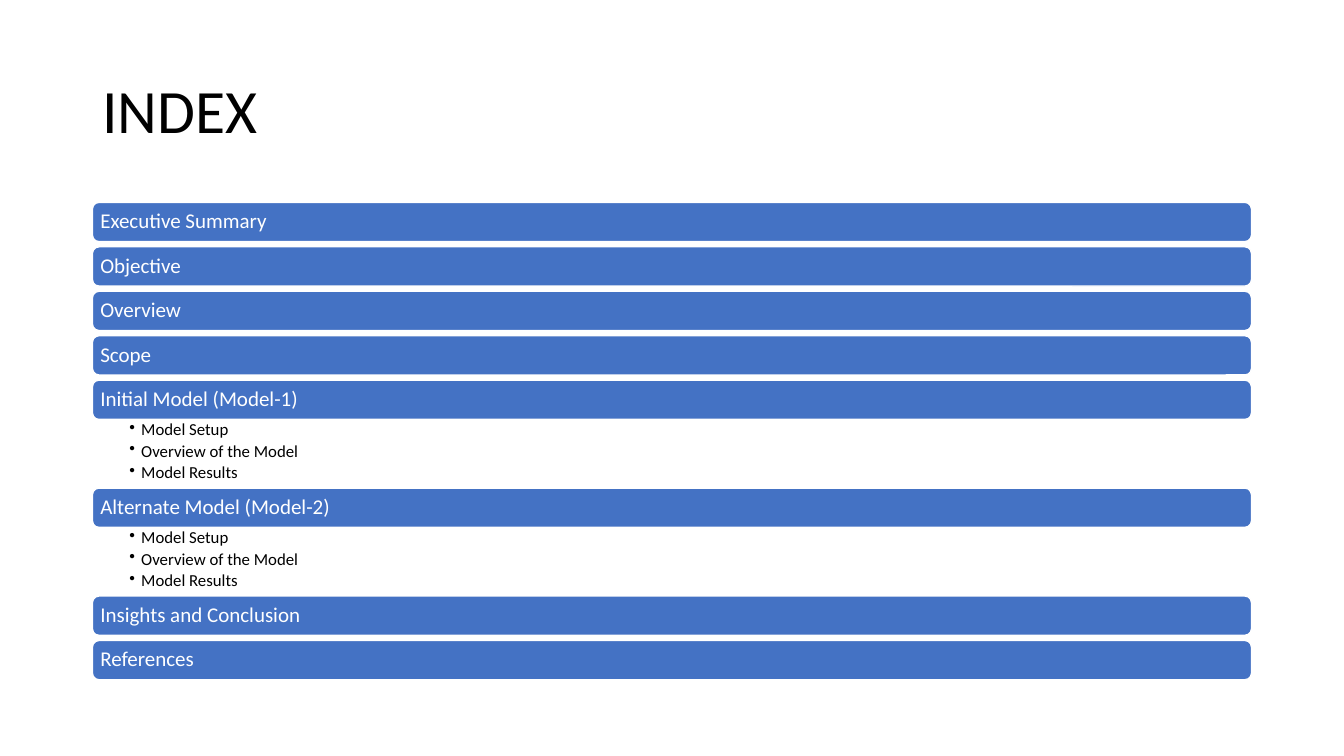
from pptx import Presentation
from pptx import util as u
from pptx.dml.color import RGBColor
from pptx.enum import shapes, text
from pptx.oxml.ns import qn
from lxml import etree

# Content
TITLE = "INDEX"
MODEL_TOPICS = ["Model Setup", "Overview of the Model", "Model Results"]
SECTIONS = [
    ("Executive Summary", []),
    ("Objective", []),
    ("Overview", []),
    ("Scope", []),
    ("Initial Model (Model-1)", MODEL_TOPICS),
    ("Alternate Model (Model-2)", MODEL_TOPICS),
    ("Insights and Conclusion", []),
    ("References", []),
]

# Style and layout, in centimetres
COLORS = {"bar": "4472C4", "light": "FFFFFF", "dark": "000000"}
FONT = "Calibri"
LEFT, WIDTH = 2.33, 29.21
FIRST_TOP, BAR_HEIGHT, GAP, TOPICS_HEIGHT = 5.1, 0.99, 0.13, 1.73
BULLET_INDENT = 0.3


def color(name):
    return RGBColor.from_string(COLORS[name])


def set_frame(box, anchor, margins):
    frame = box.text_frame
    frame.word_wrap = True
    frame.vertical_anchor = anchor
    left, top, right, bottom = (u.Cm(margin) for margin in margins)
    frame.margin_left, frame.margin_top = left, top
    frame.margin_right, frame.margin_bottom = right, bottom
    return frame


def write(para, words, size, tone):
    para.alignment = text.PP_ALIGN.LEFT
    para.line_spacing = 0.9
    span = para.add_run()
    span.text = words
    span.font.name = FONT
    span.font.size = u.Pt(size)
    span.font.color.rgb = color(tone)


def add_bullet(para):
    props = para._p.get_or_add_pPr()
    props.set("marL", str(u.Cm(BULLET_INDENT)))
    props.set("indent", str(-u.Cm(BULLET_INDENT)))
    etree.SubElement(props, qn("a:buChar"), char="•")


def add_text_box(page, top, height, anchor, margins):
    box = page.shapes.add_textbox(u.Cm(LEFT), u.Cm(top), u.Cm(WIDTH), u.Cm(height))
    return set_frame(box, anchor, margins)


def add_bar(page, top, heading):
    bar = page.shapes.add_shape(shapes.MSO_SHAPE.ROUNDED_RECTANGLE,
                                u.Cm(LEFT), u.Cm(top), u.Cm(WIDTH), u.Cm(BAR_HEIGHT))
    bar.shadow.inherit = False
    bar.fill.solid()
    bar.fill.fore_color.rgb = color("bar")
    bar.line.color.rgb = color("light")
    bar.line.width = u.Pt(1)
    frame = set_frame(bar, text.MSO_ANCHOR.MIDDLE, [0.15] * 4)
    write(frame.paragraphs[0], heading, 15, "light")


def add_topics(page, top, topics):
    frame = add_text_box(page, top, TOPICS_HEIGHT, text.MSO_ANCHOR.TOP,
                         (0.93, 0.05, 0.3, 0.05))
    for number, topic in enumerate(topics):
        para = frame.add_paragraph() if number else frame.paragraphs[0]
        write(para, topic, 12, "dark")
        para.level = 1
        para.space_after = u.Pt(2.4)
        add_bullet(para)


deck = Presentation()
deck.slide_width, deck.slide_height = u.Cm(33.87), u.Cm(19.05)
page = deck.slides.add_slide(deck.slide_layouts[6])

# Title
title = add_text_box(page, 1.01, 3.68, text.MSO_ANCHOR.MIDDLE, (0.25, 0.13, 0.25, 0.13))
write(title.paragraphs[0], TITLE, 44, "dark")

# Section bars, each followed by its topics or a gap
top = FIRST_TOP
for heading, topics in SECTIONS:
    add_bar(page, top, heading)
    top += BAR_HEIGHT
    if topics:
        add_topics(page, top, topics)
    top += TOPICS_HEIGHT if topics else GAP

deck.save("out.pptx")
